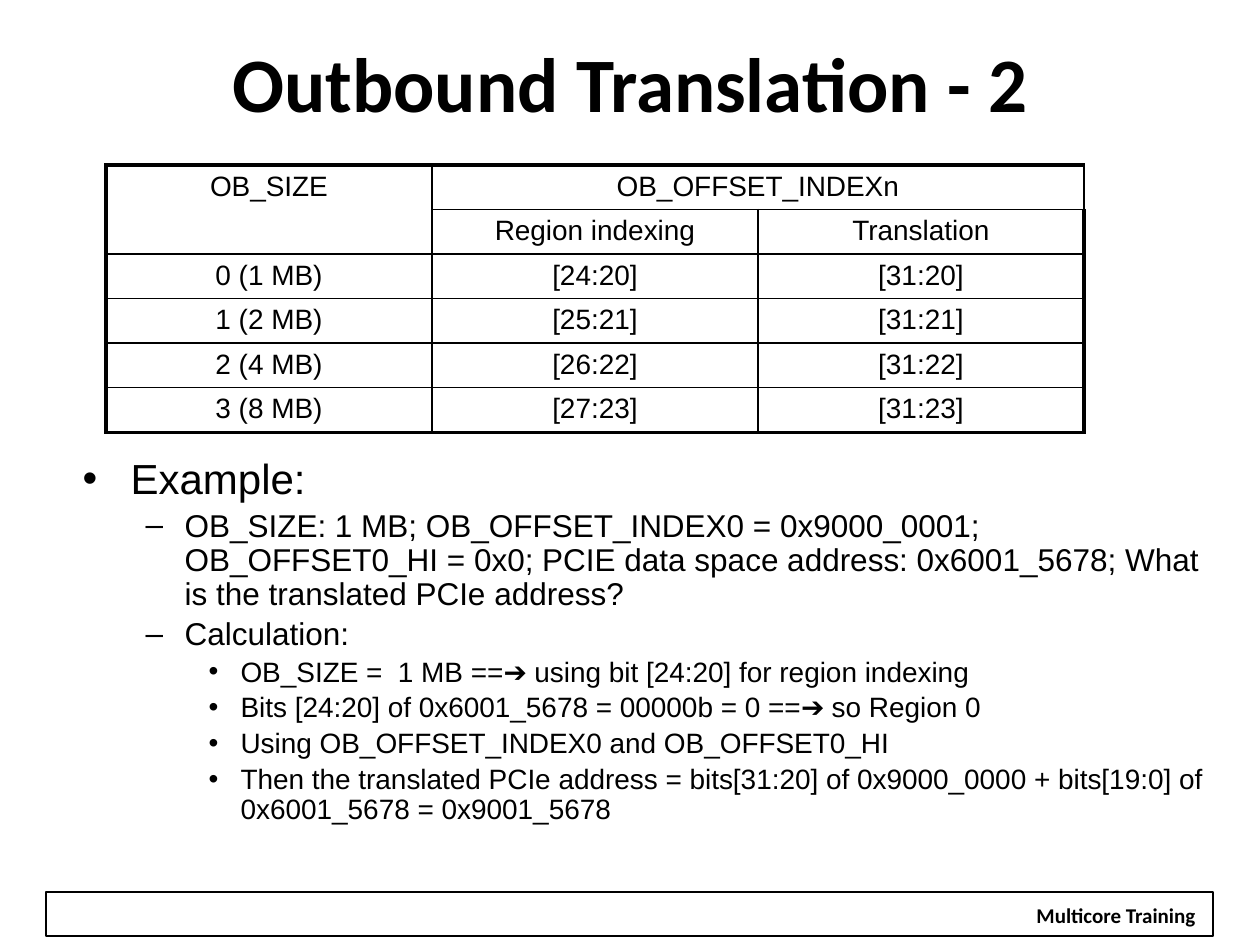
import dataclasses

import lxml.etree
import pptx
import pptx.dml.color
import pptx.enum.text
import pptx.enum.shapes
import pptx.oxml.ns
import pptx.util

PX = 914400 / 126
ALIGN = pptx.enum.text.PP_ALIGN
ANCHOR = pptx.enum.text.MSO_ANCHOR


@dataclasses.dataclass(frozen=True)
class Theme:
    ink: str = "000000"
    paper: str = "FFFFFF"
    heading_font: str = "Calibri"
    text_font: str = "Arial"
    title_size: int = 44
    cell_size: int = 16
    footer_size: int = 12
    level_sizes: tuple = (24, 18, 16)
    thin: float = 1
    thick: float = 2.25
    frame_line: float = 0.75


THEME = Theme()
BULLETS = (("•", 48, 48), ("–", 102, 39), ("•", 158, 32))

HEADERS = (
    ("OB_SIZE", "OB_OFFSET_INDEXn", ""),
    ("", "Region indexing", "Translation"),
)
SIZES = (
    ("0 (1 MB)", "[24:20]", "[31:20]"),
    ("1 (2 MB)", "[25:21]", "[31:21]"),
    ("2 (4 MB)", "[26:22]", "[31:22]"),
    ("3 (8 MB)", "[27:23]", "[31:23]"),
)
EXAMPLE = (
    (0, "Example:"),
    (1, "OB_SIZE: 1 MB; OB_OFFSET_INDEX0 = 0x9000_0001; OB_OFFSET0_HI = 0x0; "
        "PCIE data space address: 0x6001_5678; What is the translated PCIe address?"),
    (1, "Calculation:"),
    (2, "OB_SIZE =  1 MB ==➔ using bit [24:20] for region indexing"),
    (2, "Bits [24:20] of 0x6001_5678 = 00000b = 0 ==➔ so Region 0"),
    (2, "Using OB_OFFSET_INDEX0 and OB_OFFSET0_HI"),
    (2, "Then the translated PCIe address = bits[31:20] of 0x9000_0000 + "
        "bits[19:0] of 0x6001_5678 = 0x9001_5678"),
)


def px(length):
    return pptx.util.Emu(round(length * PX))


def rgb(value):
    return pptx.dml.color.RGBColor.from_string(value)


def place(part, box):
    part.left, part.top, part.width, part.height = map(px, box)


def style(paragraph, font, size, bold=False):
    for run in paragraph.runs:
        run.font.name = font
        run.font.size = pptx.util.Pt(size)
        run.font.bold = bold
        run.font.color.rgb = rgb(THEME.ink)


def add_footer(slide, box):
    left, top, width, height = box
    frame = slide.shapes.add_shape(
        pptx.enum.shapes.MSO_SHAPE.RECTANGLE, *map(px, box))
    frame.shadow.inherit = False
    frame.fill.background()
    frame.line.color.rgb = rgb(THEME.ink)
    frame.line.width = pptx.util.Pt(THEME.frame_line)

    label = slide.shapes.add_textbox(
        *map(px, (left + width - 190, top + 4, 186, height - 6)))
    label.fill.solid()
    label.fill.fore_color.rgb = rgb(THEME.paper)
    label.text_frame.word_wrap = False
    label.text_frame.text = "Multicore Training"
    paragraph = label.text_frame.paragraphs[0]
    paragraph.alignment = ALIGN.CENTER
    style(paragraph, THEME.heading_font, THEME.footer_size, True)


def fill_title(slide, box):
    title = slide.shapes.title
    place(title, box)
    title.text_frame.text = "Outbound Translation - 2"
    title.text_frame.vertical_anchor = ANCHOR.MIDDLE
    paragraph = title.text_frame.paragraphs[0]
    paragraph.alignment = ALIGN.CENTER
    style(paragraph, THEME.heading_font, THEME.title_size, True)


def set_border(cell, side, weight):
    qn = pptx.oxml.ns.qn
    line = lxml.etree.SubElement(
        cell._tc.get_or_add_tcPr(), qn("a:ln" + side), w=str(pptx.util.Pt(weight)))
    fill = lxml.etree.SubElement(line, qn("a:solidFill"))
    lxml.etree.SubElement(fill, qn("a:srgbClr"), val=THEME.ink)


def add_size_table(slide, box):
    rows = HEADERS + SIZES
    row_count, column_count = len(rows), len(rows[0])
    table = slide.shapes.add_table(row_count, column_count, *map(px, box)).table
    table.first_row = table.horz_banding = False
    for column in table.columns:
        column.width = px(box[2] / column_count)
    for row in table.rows:
        row.height = px(box[3] / row_count)

    for r, values in enumerate(rows):
        for c, value in enumerate(values):
            cell = table.cell(r, c)
            outer = {"L": c == 0, "R": c == column_count - 1,
                     "T": r == 0, "B": r == row_count - 1}
            for side, is_outer in outer.items():
                set_border(cell, side, THEME.thick if is_outer else THEME.thin)
            cell.fill.background()
            cell.margin_top, cell.margin_bottom = px(6), px(5)
            cell.vertical_anchor = ANCHOR.TOP
            cell.text_frame.text = value
            paragraph = cell.text_frame.paragraphs[0]
            paragraph.alignment = ALIGN.CENTER
            style(paragraph, THEME.text_font, THEME.cell_size)

    table.cell(0, 0).merge(table.cell(1, 0))
    table.cell(0, 1).merge(table.cell(0, 2))


def set_bullet(paragraph, level):
    mark, indent, hanging = BULLETS[level]
    properties = paragraph._p.get_or_add_pPr()
    properties.set("marL", str(px(indent)))
    properties.set("indent", str(px(-hanging)))
    lxml.etree.SubElement(properties, pptx.oxml.ns.qn("a:buChar"), char=mark)


def fill_example(slide, box):
    body = slide.placeholders[1]
    place(body, box)
    frame = body.text_frame
    frame.auto_size = pptx.enum.text.MSO_AUTO_SIZE.NONE
    frame.word_wrap = True
    frame.vertical_anchor = ANCHOR.TOP
    frame.text = "\n".join(text for _, text in EXAMPLE)
    for index, (level, _) in enumerate(EXAMPLE):
        paragraph = frame.paragraphs[index]
        size = THEME.level_sizes[level]
        paragraph.level = level
        set_bullet(paragraph, level)
        paragraph.alignment = ALIGN.LEFT
        paragraph.line_spacing = 0.9
        paragraph.space_before = pptx.util.Pt(size * 0.2 if index else 0)
        style(paragraph, THEME.text_font, size)


def main():
    deck = pptx.Presentation()
    deck.slide_width, deck.slide_height = px(1260), px(945)
    slide = deck.slides.add_slide(deck.slide_layouts[1])
    slide.background.fill.solid()
    slide.background.fill.fore_color.rgb = rgb(THEME.paper)
    add_footer(slide, (46, 892, 1167, 44))
    fill_title(slide, (48, 0, 1165, 164))
    add_size_table(slide, (106, 165, 978, 263))
    fill_example(slide, (70, 452, 1167, 388))
    deck.save("out.pptx")


if __name__ == "__main__":
    main()
